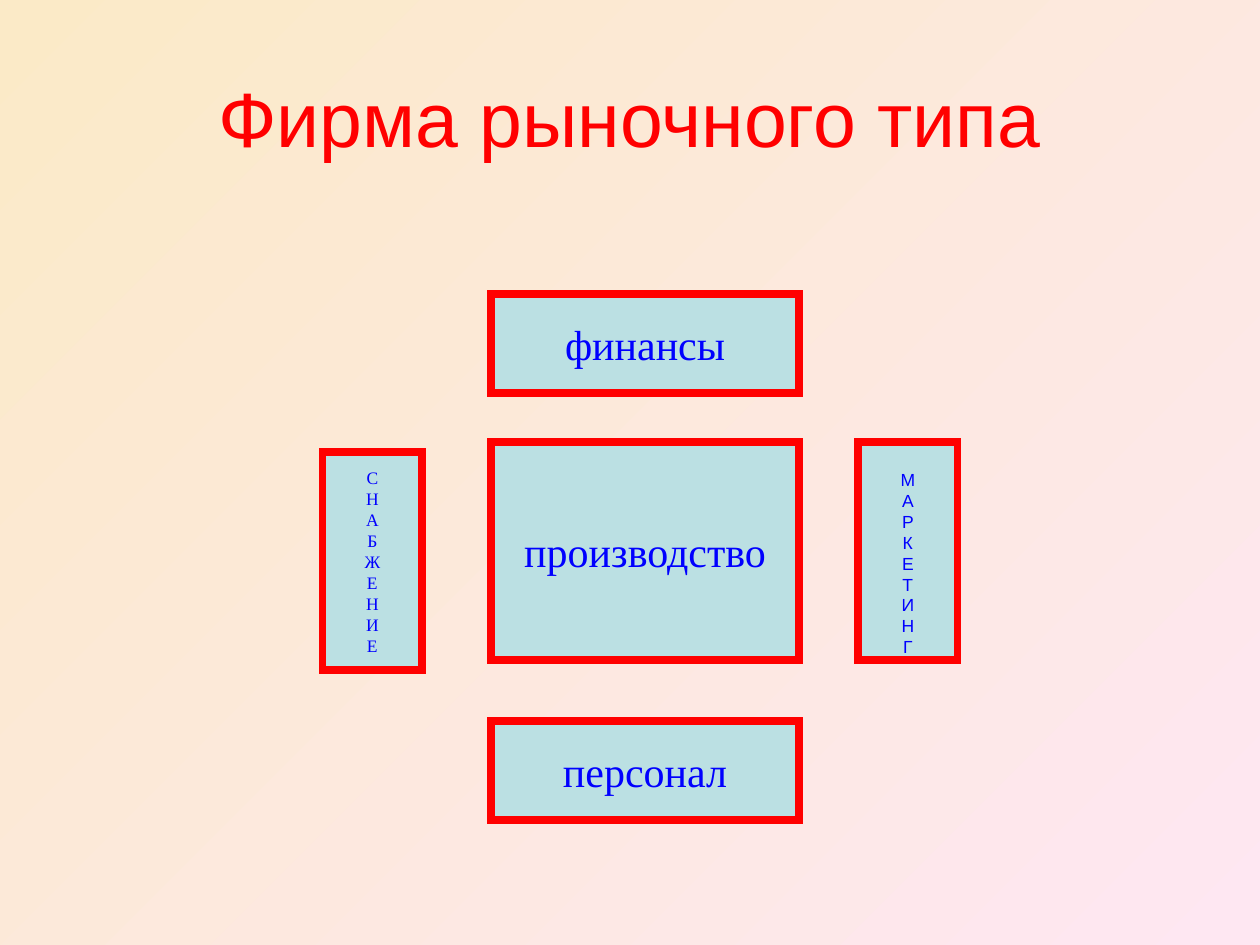
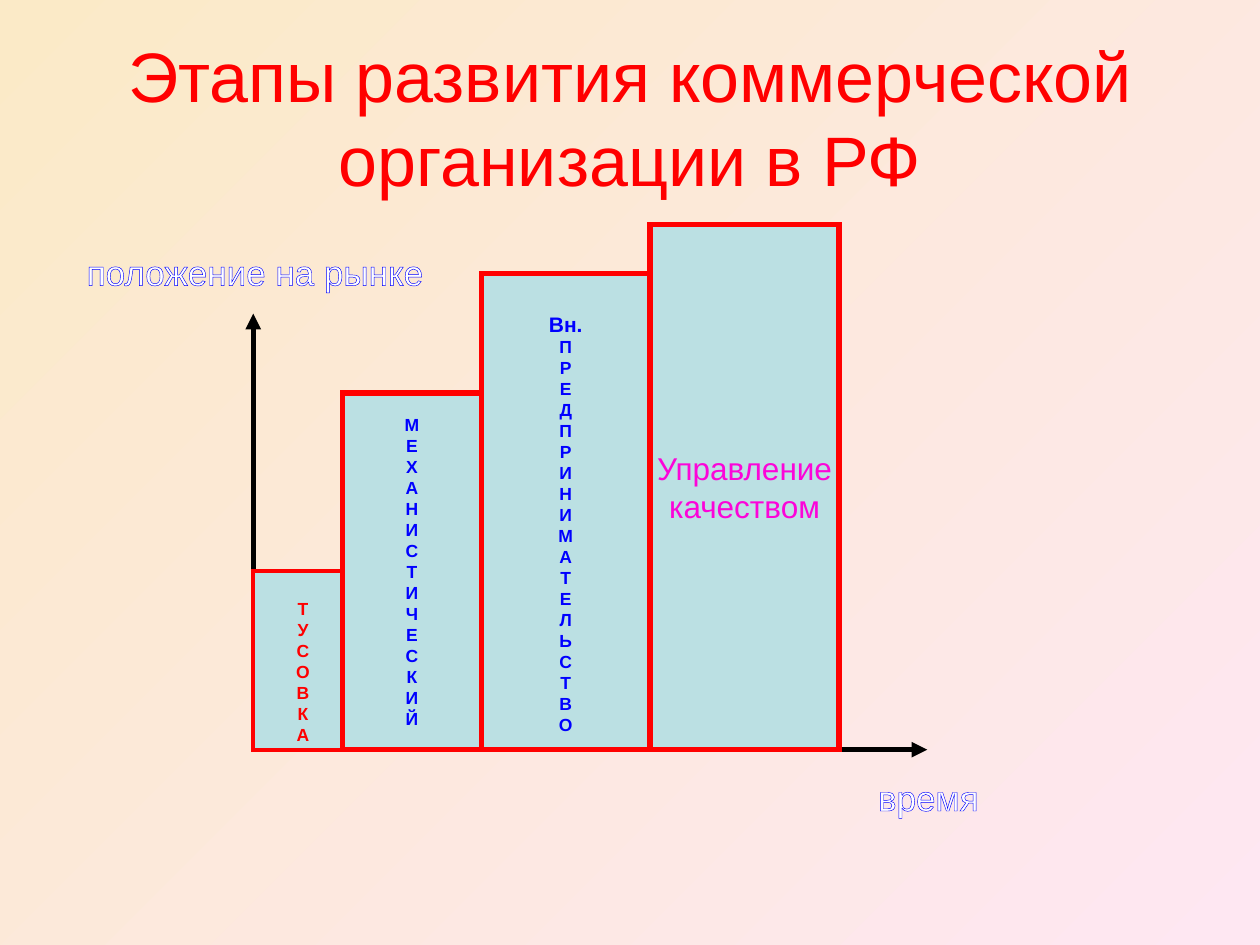
"""Build two slides on the market-type firm and the stages of a commercial organisation."""
import pptx
import pptx.dml.color
import pptx.enum.shapes
import pptx.enum.text
import pptx.oxml
import pptx.oxml.ns
import pptx.util

Inches = pptx.util.Inches
Pt = pptx.util.Pt
RGBColor = pptx.dml.color.RGBColor
ANCHOR = pptx.enum.text.MSO_ANCHOR
ALIGN = pptx.enum.text.PP_ALIGN

CREAM = RGBColor(0xFB, 0xEA, 0xC7)
ROSE = RGBColor(0xFE, 0xE7, 0xF2)
RED = RGBColor(0xFF, 0x00, 0x00)
BLUE = RGBColor(0x00, 0x00, 0xFF)
AQUA = RGBColor(0xBB, 0xE0, 0xE3)
MAGENTA = RGBColor(0xFC, 0x04, 0xD9)
WHITE = RGBColor(0xFF, 0xFF, 0xFF)
BLACK = RGBColor(0x00, 0x00, 0x00)
SERIF = "Times New Roman"
NS = pptx.oxml.ns.nsdecls("a")


def write(shape, text, size=10, color=BLUE, font="Arial", bold=False, wrap=False,
          align=ALIGN.CENTER, top=None, heading=None, outline=None):
    """Fill a shape with formatted lines, from a top inset or vertically centred."""
    frame = shape.text_frame
    frame.word_wrap = wrap
    frame.vertical_anchor = ANCHOR.MIDDLE if top is None else ANCHOR.TOP
    if top is not None:
        frame.margin_top, frame.margin_bottom = Inches(top), 0
    lines = text.split("\n")
    if heading:
        lines.insert(0, heading)
    for index, line in enumerate(lines):
        paragraph = frame.paragraphs[0] if index == 0 else frame.add_paragraph()
        points = 12 if line == heading else size
        paragraph.alignment = align
        paragraph.line_spacing = Pt(points * 1.2)
        run = paragraph.add_run()
        run.text = line
        run.font.name = font
        run.font.size = Pt(points)
        run.font.bold = bold
        run.font.color.rgb = color
        if outline:
            run.font._element.insert(0, pptx.oxml.parse_xml(
                f'<a:ln {NS} w="9525"><a:solidFill><a:srgbClr val="{outline}"/>'
                "</a:solidFill></a:ln>"))


def add_block(slide, left, top, width, height, border):
    """Add an aqua rectangle with a sharp-cornered red border."""
    block = slide.shapes.add_shape(
        pptx.enum.shapes.MSO_SHAPE.RECTANGLE,
        Inches(left), Inches(top), Inches(width), Inches(height))
    block.shadow.inherit = False
    block.fill.solid()
    block.fill.fore_color.rgb = AQUA
    block.line.color.rgb = RED
    block.line.width = Pt(border)
    block.line._get_or_add_ln().append(pptx.oxml.parse_xml(f'<a:miter {NS} lim="800000"/>'))
    return block


deck = pptx.Presentation()
deck.slide_width, deck.slide_height = Inches(10), Inches(7.5)

slides = []
for title, title_size in [("Фирма рыночного типа", 44),
                          ("Этапы развития коммерческой организации в РФ", 40)]:
    slide = deck.slides.add_slide(deck.slide_layouts[6])
    backdrop = slide.background.fill
    backdrop.gradient()
    backdrop.gradient_angle = 315
    for stop, tint in zip(backdrop.gradient_stops, (CREAM, ROSE)):
        stop.color.rgb = tint
    heading_box = slide.shapes.add_textbox(Inches(0.5), Inches(0.3), Inches(9), Inches(1.25))
    write(heading_box, title, size=title_size, color=RED, wrap=True)
    slides.append(slide)
firm, stages = slides

for department, top, height in [("производство", 3.51, 1.73),
                                ("финансы", 2.33, 0.79),
                                ("персонал", 5.72, 0.79)]:
    write(add_block(firm, 3.9, top, 2.44, height, 4.5), department, size=24, font=SERIF)

for department, left, top, font, inset in [("МАРКЕТИНГ", 6.81, 3.51, "Arial", 0.21),
                                           ("СНАБЖЕНИЕ", 2.56, 3.59, SERIF, 0.12)]:
    write(add_block(firm, left, top, 0.79, 1.73, 4.5), "\n".join(department),
          font=font, top=inset)

ORIGIN_X, BASELINE = 2.01, 5.95
for label, end_x, end_y, label_left, label_top, label_width in [
        ("положение на рынке", ORIGIN_X, 2.49, 0.59, 1.94, 3),
        ("время", 7.36, BASELINE, 6.87, 6.11, 1.2)]:
    axis = stages.shapes.add_connector(
        pptx.enum.shapes.MSO_CONNECTOR.STRAIGHT,
        Inches(ORIGIN_X), Inches(BASELINE), Inches(end_x), Inches(end_y))
    axis.line.color.rgb = BLACK
    axis.line.width = Pt(3)
    axis.line._get_or_add_ln().append(pptx.oxml.parse_xml(f'<a:tailEnd {NS} type="triangle"/>'))
    axis._element.spPr.append(pptx.oxml.parse_xml(f"<a:effectLst {NS}/>"))
    axis_label = stages.shapes.add_textbox(
        Inches(label_left), Inches(label_top), Inches(label_width), Inches(0.4))
    write(axis_label, label, size=20, color=WHITE, wrap=True, align=ALIGN.LEFT,
          top=0.05, outline=BLUE)

for stage, left, width, height, border, style in [
        ("\n".join("ТУСОВКА"), ORIGIN_X, 0.79, 1.42, 2.25,
         dict(color=RED, bold=True, top=0.22)),
        ("\n".join("МЕХАНИСТИЧЕСКИЙ"), 2.72, 1.1, 2.83, 3,
         dict(bold=True, top=0.17)),
        ("\n".join("ПРЕДПРИНИМАТЕЛЬСТВО"), 3.82, 1.34, 3.78, 3,
         dict(bold=True, top=0.3, heading="Вн.")),
        ("Управление\nкачеством", 5.16, 1.5, 4.17, 3,
         dict(size=18, color=MAGENTA))]:
    write(add_block(stages, left, BASELINE - height, width, height, border), stage, **style)

deck.save("out.pptx")
